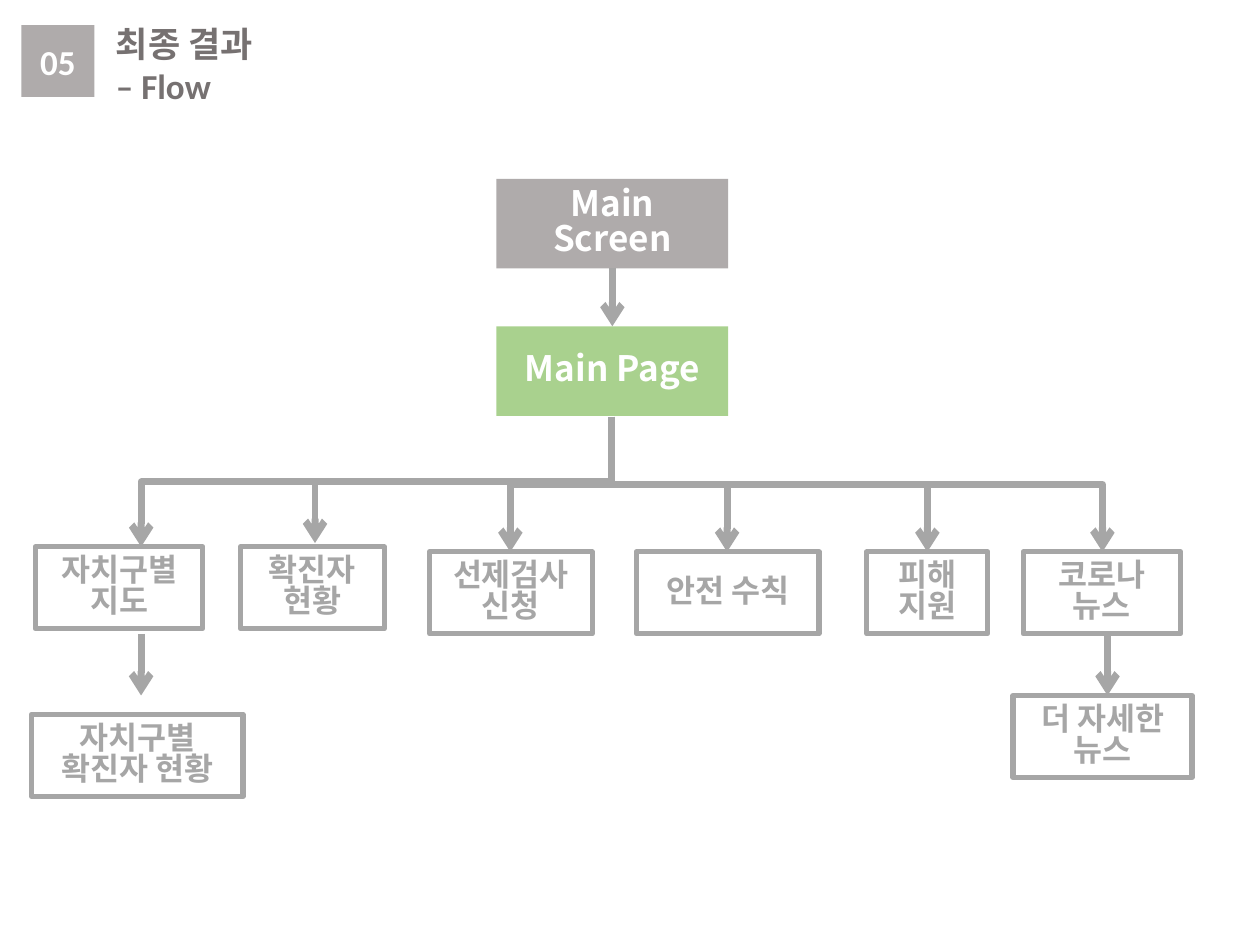
from lxml.etree import SubElement
from pptx import Presentation
from pptx.dml.color import RGBColor
from pptx.enum.shapes import MSO_CONNECTOR, MSO_SHAPE
from pptx.enum.text import MSO_ANCHOR, MSO_AUTO_SIZE, PP_ALIGN
from pptx.oxml.ns import qn
from pptx.util import Inches, Pt

HUES = {"gray": "AFABAB", "green": "A9D18E", "line": "A6A6A6",
        "title": "767171", "white": "FFFFFF"}
SANS, HANGUL = "Calibri", "Noto Sans CJK KR"
TOP, BOTTOM = 0, 2


class Flow:
    """Style and slide; lengths are cells of a 100 by 75 grid."""

    def __init__(self, deck):
        self.slide = deck.slides.add_slide(deck.slide_layouts[5])
        self.cell = deck.slide_width / 100

    def size(self, *cells):
        return [round(n * self.cell) for n in cells]

    def hue(self, name):
        return RGBColor.from_string(HUES[name])

    def label(self, shape, lines, hue, size, face, side, anchor, space):
        frame = shape.text_frame
        form = {"word_wrap": True, "auto_size": MSO_AUTO_SIZE.NONE,
                "vertical_anchor": anchor}
        for key, value in form.items():
            setattr(frame, key, value)
        frame.text = "\n".join(lines)
        for para in frame.paragraphs:
            para.alignment, para.line_spacing = side, space
            for run in para.runs:
                look = {"name": face, "size": Pt(size), "bold": True}
                for key, value in look.items():
                    setattr(run.font, key, value)
                run.font.color.rgb = self.hue(hue)
                east = SubElement(run.font._element, qn("a:ea"))
                east.set("typeface", HANGUL)

    def title(self, area, *lines):
        head = self.slide.shapes.title
        spot = zip(("left", "top", "width", "height"), self.size(*area))
        for key, value in spot:
            setattr(head, key, value)
        self.label(head, lines, "title", 20, SANS,
                   PP_ALIGN.LEFT, MSO_ANCHOR.TOP, 1)

    def box(self, area, *lines, fill=None, face=HANGUL):
        shape = self.slide.shapes.add_shape(
            MSO_SHAPE.RECTANGLE, *self.size(*area))
        shape.shadow.inherit = False
        if fill:
            shape.fill.solid()
            shape.fill.fore_color.rgb = self.hue(fill)
            shape.line.fill.background()
        else:
            shape.fill.background()
            shape.line.color.rgb = self.hue("line")
            shape.line.width = Pt(3)
        self.label(shape, lines, "white" if fill else "line",
                   20 if fill else 18, face, PP_ALIGN.CENTER,
                   MSO_ANCHOR.MIDDLE, 0.83 if face == HANGUL else 1)
        return shape

    def link(self, kind, *ends):
        line = self.slide.shapes.add_connector(kind, *self.size(*ends))
        line.line.color.rgb = self.hue("line")
        line.line.width = Pt(4)
        props = line._element.spPr
        SubElement(props.find(qn("a:ln")), qn("a:tailEnd")).set("type", "arrow")
        SubElement(props, qn("a:effectLst"))
        return line

    def arrow(self, x, y, end, start=None, goal=None):
        line = self.link(MSO_CONNECTOR.STRAIGHT, x, y, x, end)
        if start:
            line.begin_connect(start, BOTTOM)
        if goal:
            line.end_connect(goal, TOP)

    def bend(self, x, y, goal_x, goal_y):
        """Elbow that leaves downward: a level elbow turned a quarter."""
        drop, span = goal_y - y, abs(goal_x - x)
        mid_x, mid_y = (x + goal_x) / 2, (y + goal_y) / 2
        left, right = mid_x - drop / 2, mid_x + drop / 2
        ends = (right, left) if goal_x > x else (left, right)
        line = self.link(MSO_CONNECTOR.ELBOW, ends[0], mid_y - span / 2,
                         ends[1], mid_y + span / 2)
        turn = 270 if goal_x > x else 90
        line._element.spPr.find(qn("a:xfrm")).set("rot", str(turn * 60000))


def main():
    deck = Presentation()
    deck.slide_width, deck.slide_height = Inches(10), Inches(7.5)
    flow = Flow(deck)

    # Heading
    flow.box((1.7, 2, 5.8, 5.7), "05", fill="gray", face=SANS)
    flow.title((8.2, 1.3, 27.9, 7.7), "최종 결과", "– Flow")

    # Main screen and page
    screen = flow.box((39.4, 14.2, 18.4, 7.1), "Main Screen", fill="gray")
    page = flow.box((39.4, 25.9, 18.4, 7.1), "Main Page", fill="green")
    flow.arrow(48.6, 21.3, 25.9, screen, page)

    # Menu: left, top, width, text
    menu = [(2.8, 43.4, 13.3, "자치구별 지도"), (19.1, 43.4, 11.4, "확진자 현황"),
            (34.1, 43.8, 12.9, "선제검사 신청"), (50.5, 43.8, 14.5, "안전 수칙"),
            (68.8, 43.8, 9.6, "피해 지원"), (81.2, 43.8, 12.5, "코로나 뉴스")]
    boxes = [flow.box((x, y, wide, 6.5), text) for x, y, wide, text in menu]

    # Branches from the main page
    for x, y in ((11.2, 43.4), (40.5, 43.8), (57.7, 43.8), (87.5, 43.8)):
        flow.bend(48.5, 33.1, x, y)
    flow.arrow(25, 38.2, 43.1)
    flow.arrow(73.6, 38.4, 43.8, goal=boxes[4])

    # Detail pages
    flow.box((2.5, 56.7, 16.8, 6.5), "자치구별", "확진자 현황")
    flow.box((80.4, 55.2, 14.2, 6.5), "더 자세한 뉴스")
    for x in (11.2, 87.9):
        flow.arrow(x, 50.3, 55.2)

    deck.save("out.pptx")


if __name__ == "__main__":
    main()
